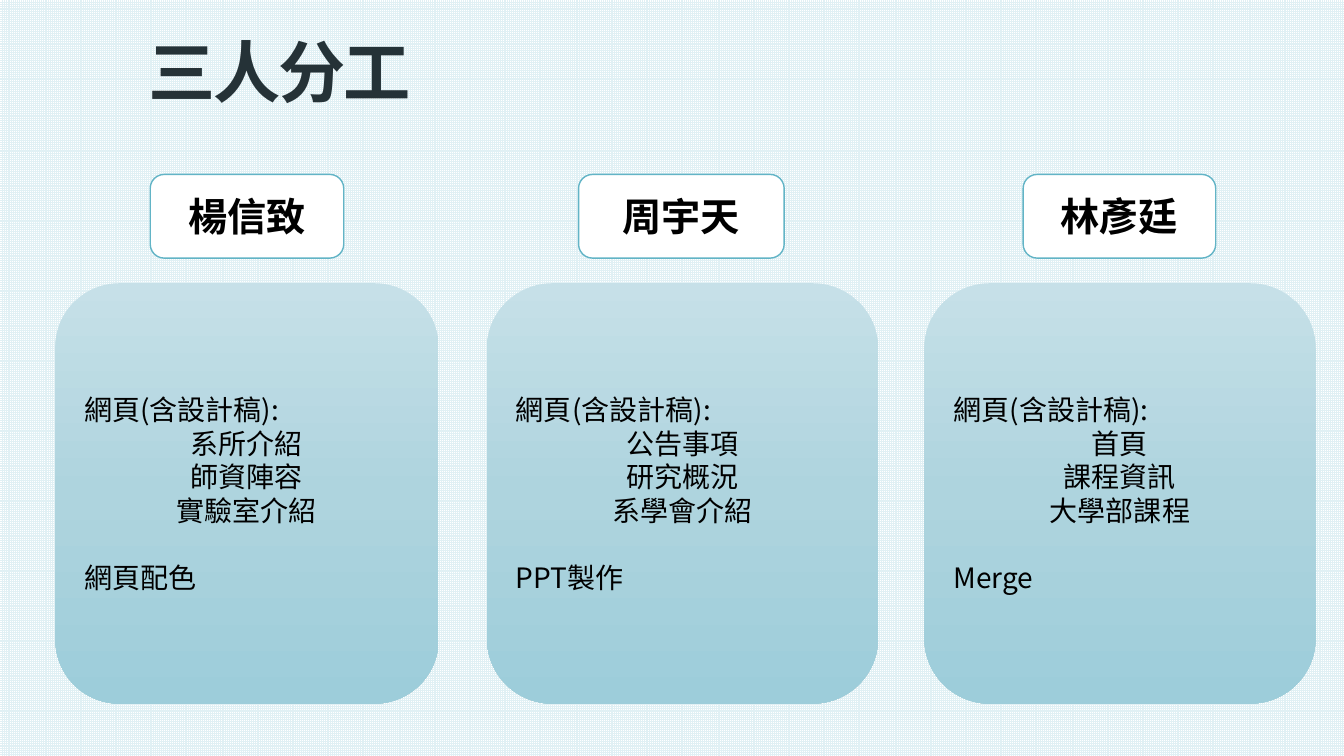
import copy

import pptx
import pptx.util
import pptx.dml.color
import pptx.enum.dml
import pptx.enum.shapes
import pptx.enum.text
import pptx.oxml.ns
import lxml.etree

RGB = pptx.dml.color.RGBColor
ALIGN = pptx.enum.text.PP_ALIGN
ANCHOR = pptx.enum.text.MSO_ANCHOR
Pt = pptx.util.Pt

# Colours and font
GRID_BLUE = RGB(0xE0, 0xF0, 0xF4)
WHITE = RGB(0xFF, 0xFF, 0xFF)
BLACK = RGB(0x00, 0x00, 0x00)
TITLE_INK = RGB(0x25, 0x32, 0x37)
OUTLINE = RGB(0x62, 0xB4, 0xC6)
CARD_STOPS = [
    (0, RGB(0xC6, 0xE0, 0xE8)),
    (0.5, RGB(0xAE, 0xD4, 0xDE)),
    (1, RGB(0x9D, 0xCD, 0xDA)),
]
FONT = "Noto Sans CJK SC"

# Slide size in inches; the grid has 100 columns and 100 rows
WIDTH, HEIGHT = 13.33, 7.5
TITLE_BOX = (10.28, 5.6, 83.48, 21.73)
NAME_TOP, NAME_HEIGHT = 23.07, 11.07
CARD_TOP, CARD_HEIGHT = 37.47, 55.6

# Text formats
TITLE_FORMAT = {"size": Pt(48), "bold": True, "color": TITLE_INK}
NAME_FORMAT = {"size": Pt(28), "bold": True, "color": BLACK}
TASK_FORMAT = {"size": Pt(20), "bold": False, "color": BLACK}
TASK_LINE = Pt(24)

# Name, name columns (left, width), card columns, web pages, other task
MEMBERS = [
    ("楊信致", (11.18, 14.4), (4.13, 28.5),
     ["系所介紹", "師資陣容", "實驗室介紹"], "網頁配色"),
    ("周宇天", (43.05, 15.3), (36.23, 29.1),
     ["公告事項", "研究概況", "系學會介紹"], "PPT製作"),
    ("林彥廷", (76.13, 14.33), (68.78, 29.1),
     ["首頁", "課程資訊", "大學部課程"], "Merge"),
]


def place(left, top, width, height):
    """Turn grid columns and rows into lengths."""
    return [pptx.util.Inches(share * side / 100) for share, side in
            zip((left, top, width, height), (WIDTH, HEIGHT) * 2)]


def write(paragraph, text, text_format, **layout):
    """Put one formatted run in a paragraph."""
    run = paragraph.add_run()
    run.text = text
    for key, value in {**text_format, "name": FONT}.items():
        if key == "color":
            run.font.color.rgb = value
        else:
            setattr(run.font, key, value)
    east_asian = lxml.etree.SubElement(
        run.font._element, pptx.oxml.ns.qn("a:ea"))
    east_asian.set("typeface", FONT)
    for key, value in layout.items():
        setattr(paragraph, key, value)
    return run


def add_box(slide, box):
    """Add a rounded box without shadow or outline."""
    shape = slide.shapes.add_shape(
        pptx.enum.shapes.MSO_SHAPE.FLOWCHART_ALTERNATE_PROCESS, *place(*box))
    shape.shadow.inherit = False
    shape.line.fill.background()
    shape.text_frame.word_wrap = True
    shape.text_frame.vertical_anchor = ANCHOR.MIDDLE
    return shape


def add_name(slide, box, name):
    shape = add_box(slide, box)
    shape.fill.solid()
    shape.fill.fore_color.rgb = WHITE
    shape.line.color.rgb = OUTLINE
    shape.line.width = Pt(1)
    write(shape.text_frame.paragraphs[0], name, NAME_FORMAT,
          alignment=ALIGN.CENTER)


def fill_gradient(shape):
    """Fill a shape from top to bottom with the card colours."""
    shape.fill.gradient()
    shape.fill.gradient_angle = 270
    stop_list = shape._element.spPr.find(".//" + pptx.oxml.ns.qn("a:gsLst"))
    stop_list.append(copy.deepcopy(stop_list[0]))
    for stop, (position, color) in zip(shape.fill.gradient_stops, CARD_STOPS):
        stop.position = position
        stop.color.rgb = color


def add_card(slide, box, pages, other_task):
    shape = add_box(slide, box)
    fill_gradient(shape)
    frame = shape.text_frame
    heading = {"alignment": ALIGN.LEFT, "line_spacing": TASK_LINE}
    write(frame.paragraphs[0], "網頁(含設計稿):", TASK_FORMAT, **heading)
    for page in pages:
        write(frame.add_paragraph(), page, TASK_FORMAT,
              alignment=ALIGN.CENTER, line_spacing=TASK_LINE)
    write(frame.add_paragraph(), other_task, TASK_FORMAT,
          space_before=TASK_LINE, **heading)


def set_title(slide, text):
    title = slide.shapes.title
    title.left, title.top, title.width, title.height = place(*TITLE_BOX)
    frame = title.text_frame
    frame.auto_size = pptx.enum.text.MSO_AUTO_SIZE.NONE
    frame.vertical_anchor = ANCHOR.TOP
    run = write(frame.paragraphs[0], text, TITLE_FORMAT,
                alignment=ALIGN.LEFT, line_spacing=0.77)
    run.font._element.set("spc", "-150")


def set_background(slide):
    fill = slide.background.fill
    fill.patterned()
    fill.pattern = pptx.enum.dml.MSO_PATTERN.SMALL_GRID
    fill.fore_color.rgb = GRID_BLUE
    fill.back_color.rgb = WHITE


def main():
    presentation = pptx.Presentation()
    presentation.slide_width = pptx.util.Inches(WIDTH)
    presentation.slide_height = pptx.util.Inches(HEIGHT)
    slide = presentation.slides.add_slide(presentation.slide_layouts[5])
    set_background(slide)
    set_title(slide, "三人分工")

    # One name and one card for each member
    for name, name_columns, card_columns, pages, other_task in MEMBERS:
        left, width = name_columns
        add_name(slide, (left, NAME_TOP, width, NAME_HEIGHT), name)
        left, width = card_columns
        add_card(slide, (left, CARD_TOP, width, CARD_HEIGHT),
                 pages, other_task)

    presentation.save("out.pptx")


if __name__ == "__main__":
    main()
